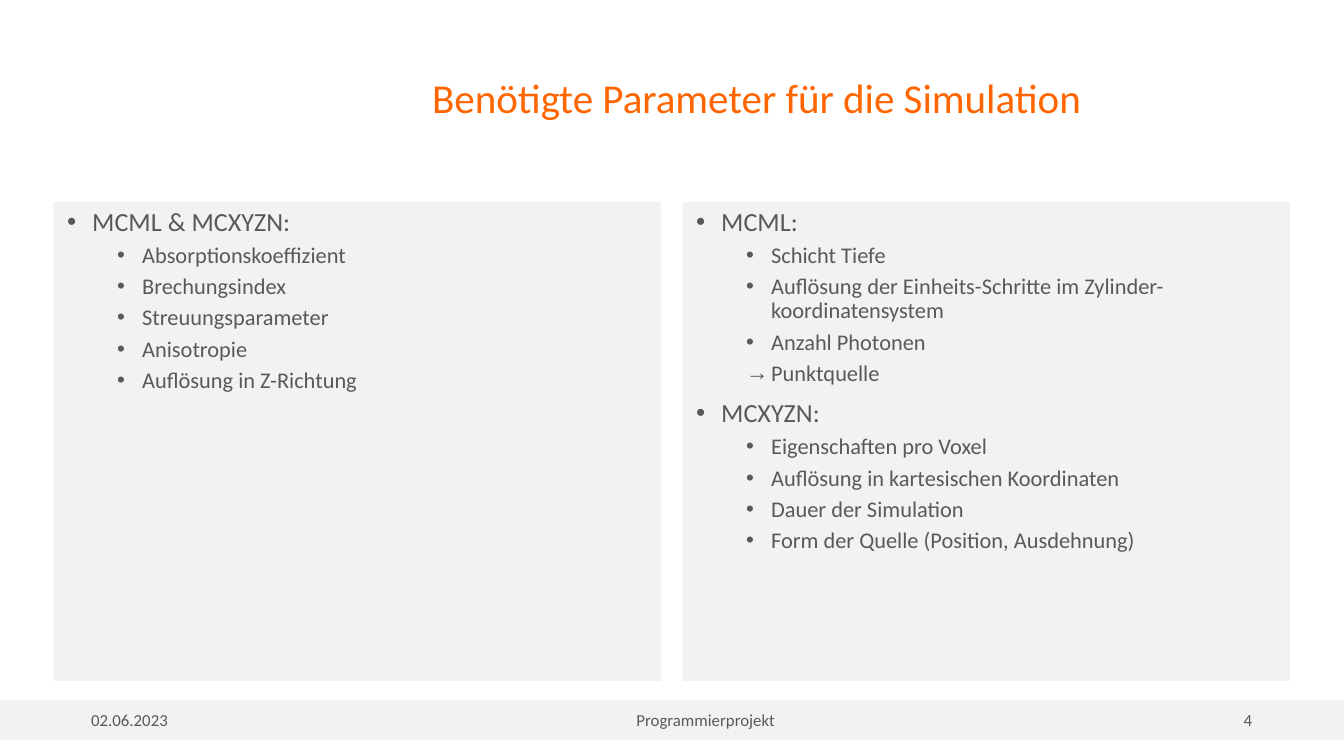
from lxml import etree
from pptx import Presentation
from pptx.dml.color import RGBColor
from pptx.enum.shapes import MSO_SHAPE
from pptx.enum.text import MSO_ANCHOR, PP_ALIGN
from pptx.oxml.ns import qn
from pptx.util import Pt

RECT = MSO_SHAPE.RECTANGLE
TOP, MIDDLE = MSO_ANCHOR.TOP, MSO_ANCHOR.MIDDLE
LEFT, CENTER = PP_ALIGN.LEFT, PP_ALIGN.CENTER

SCALE = 914400 / 134.4
FONT = "Calibri"
COLORS = {"title": "FF6600", "text": "595959", "panel": "F2F2F2"}
LEVELS = [
    {"size": 14, "margin": 25, "before": 7.5},
    {"size": 12, "margin": 75, "before": 3.8},
]
HANGING = 25

COMMON = [
    (0, "•", "MCML & MCXYZN:"),
    (1, "•", "Absorptionskoeffizient"),
    (1, "•", "Brechungsindex"),
    (1, "•", "Streuungsparameter"),
    (1, "•", "Anisotropie"),
    (1, "•", "Auflösung in Z-Richtung"),
]
SPECIFIC = [
    (0, "•", "MCML:"),
    (1, "•", "Schicht Tiefe"),
    (1, "•", "Auflösung der Einheits-Schritte im Zylinder-koordinatensystem"),
    (1, "•", "Anzahl Photonen"),
    (1, "→", "Punktquelle"),
    (0, "•", "MCXYZN:"),
    (1, "•", "Eigenschaften pro Voxel"),
    (1, "•", "Auflösung in kartesischen Koordinaten"),
    (1, "•", "Dauer der Simulation"),
    (1, "•", "Form der Quelle (Position, Ausdehnung)"),
]


def px(n):
    return round(n * SCALE)


def rgb(name):
    return RGBColor.from_string(COLORS[name])


def write(p, text, size=12, color="text", align=LEFT, spacing=None, before=0):
    p.alignment = align
    p.line_spacing = spacing
    p.space_before = Pt(before)
    r = p.add_run()
    r.text = text
    r.font.name = FONT
    r.font.size = Pt(size)
    r.font.color.rgb = rgb(color)


def set_bullet(p, char, margin):
    pPr = p._p.get_or_add_pPr()
    pPr.set("marL", str(px(margin)))
    pPr.set("indent", str(-px(HANGING)))
    etree.SubElement(pPr, qn("a:buFont")).set("typeface", "Arial")
    etree.SubElement(pPr, qn("a:buChar")).set("char", char)


def add_panel(s, box, anchor):
    sp = s.shapes.add_shape(RECT, *map(px, box))
    sp.shadow.inherit = False
    sp.fill.solid()
    sp.fill.fore_color.rgb = rgb("panel")
    sp.line.fill.background()
    tf = sp.text_frame
    tf.word_wrap = True
    tf.vertical_anchor = anchor
    return tf


def add_title(s, box, text):
    tf = s.shapes.add_textbox(*map(px, box)).text_frame
    tf.word_wrap = True
    tf.vertical_anchor = MIDDLE
    write(tf.paragraphs[0], text, size=22, color="title", spacing=0.9)


def add_list(s, box, items):
    tf = add_panel(s, box, TOP)
    for i, (level, char, text) in enumerate(items):
        p = tf.add_paragraph() if i else tf.paragraphs[0]
        style = LEVELS[level]
        p.level = level
        write(p, text, size=style["size"], spacing=0.9, before=style["before"])
        set_bullet(p, char, style["margin"])


def add_columns(s, box, columns, gap):
    x, y, w, h = box
    col_w = (w - gap * (len(columns) - 1)) // len(columns)
    for i, items in enumerate(columns):
        add_list(s, (x + i * (col_w + gap), y, col_w, h), items)


def add_footer(s, box, cells):
    x, y, w, h = box
    for text, cell_w in cells:
        tf = add_panel(s, (x, y, cell_w, h), MIDDLE)
        write(tf.paragraphs[0], text, size=9, align=CENTER)
        x += cell_w


def main():
    prs = Presentation()
    prs.slide_width, prs.slide_height = px(1344), px(756)
    s = prs.slides.add_slide(prs.slide_layouts[6])
    add_footer(s, (0, 700, 1344, 40),
               [("02.06.2023", 259), ("Programmierprojekt", 893), ("4", 192)])
    add_columns(s, (54, 202, 1236, 479), [COMMON, SPECIFIC], gap=22)
    add_title(s, (419, 75, 730, 51), "Benötigte Parameter für die Simulation")
    prs.save("out.pptx")


if __name__ == "__main__":
    main()
